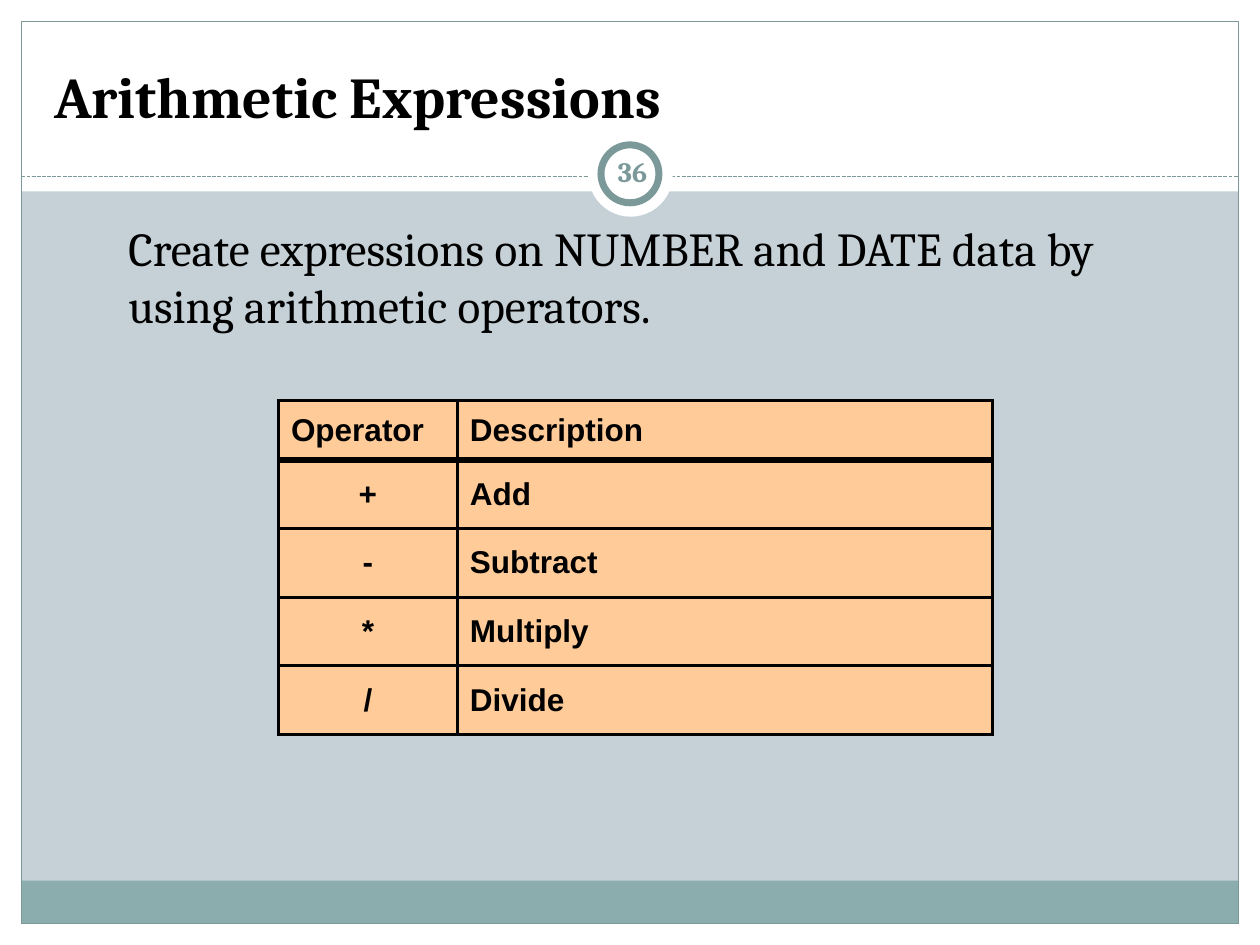
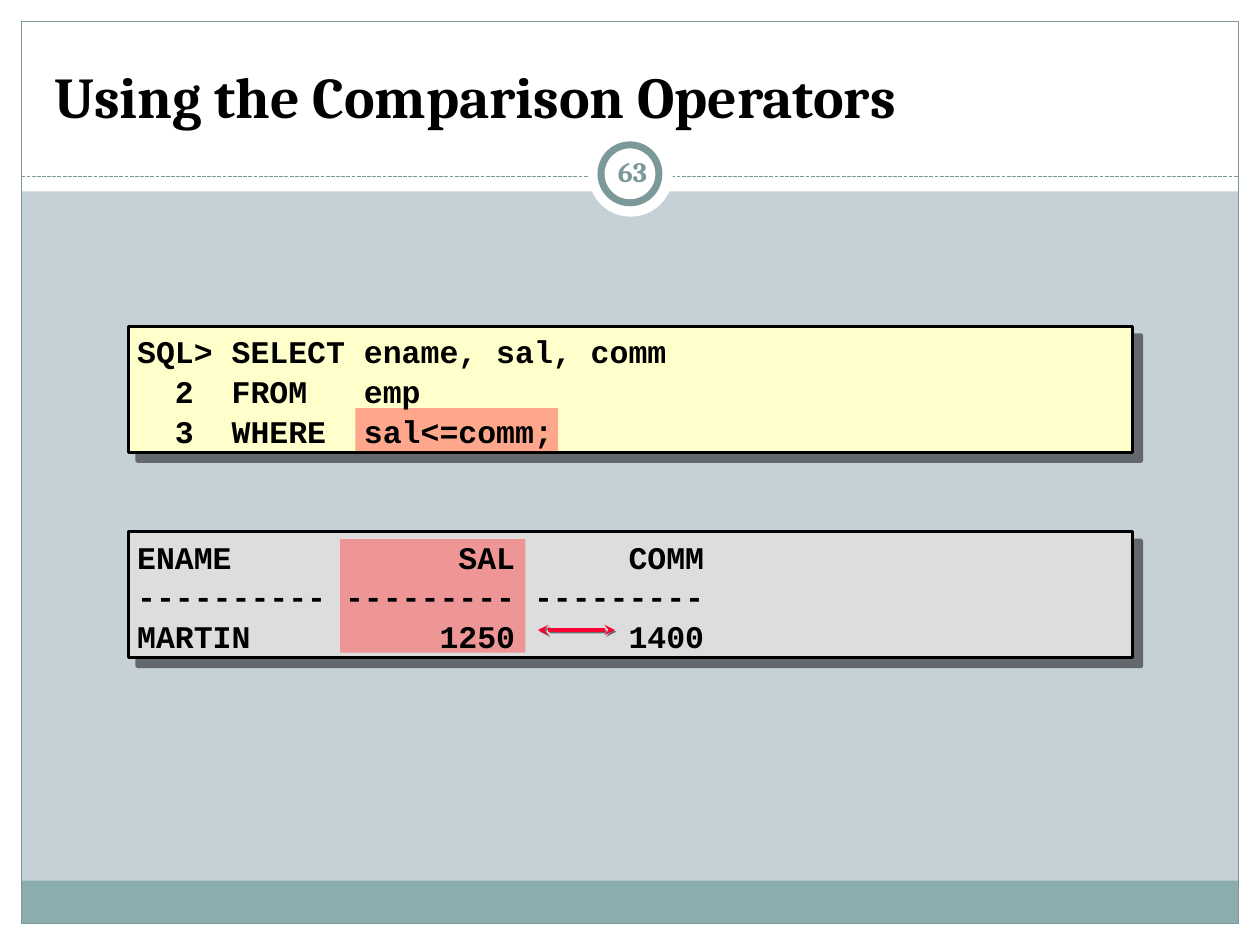
from dataclasses import dataclass

from lxml.etree import SubElement
from pptx import Presentation
from pptx.dml.color import RGBColor
from pptx.enum.dml import MSO_LINE
from pptx.enum.shapes import MSO_CONNECTOR, MSO_SHAPE
from pptx.enum.text import MSO_ANCHOR as Anchor, MSO_AUTO_SIZE, PP_ALIGN as Align
from pptx.oxml.ns import qn
from pptx.util import Emu, Inches, Pt

COLUMNS, ROWS = 100, 75
WIDTH, HEIGHT = Inches(10), Inches(7.5)

BLACK, WHITE = "000000", "FFFFFF"
PAPER, BAND, ACCENT = "C5D1D7", "8CADAE", "7C999A"
PEACH, CREAM, SILVER = "FFCC99", "FFFFCC", "DDDDDD"
HIGHLIGHT, RED = "FF5050", "FF0033"


@dataclass(frozen=True)
class Area:
    column: float
    row: float
    columns: float
    rows: float

    def box(self) -> tuple[Emu, Emu, Emu, Emu]:
        return across(self.column), down(self.row), across(self.columns), down(self.rows)


@dataclass(frozen=True)
class TextStyle:
    font: str
    size: float
    color: str = BLACK
    bold: bool = False
    align: Align = Align.LEFT
    spacing: float = 1.0


@dataclass(frozen=True)
class CodePanel:
    row: float
    fill: str
    lines: tuple[str, ...]
    highlight: Area


TITLE = TextStyle("Cambria", 33, bold=True)
BODY = TextStyle("Cambria", 27)
NUMBER = TextStyle("Cambria", 16, ACCENT, True, Align.CENTER)
CELL = TextStyle("Arial", 18, bold=True)
SYMBOL = TextStyle("Arial", 18, bold=True, align=Align.CENTER)
CODE = TextStyle("Courier New", 18, bold=True, spacing=1.05)

FRAME_BANDS = (
    (Area(0, 73.3, 100, 1.7), WHITE),
    (Area(0, 0, 100, 15.2), WHITE),
    (Area(0, 0, 1.7, 75), WHITE),
    (Area(98.3, 0, 1.7, 75), WHITE),
    (Area(1.7, 69.9, 96.6, 3.4), BAND),
)

OPERATORS = (
    ("Operator", "Description"),
    ("+", "Add"),
    ("-", "Subtract"),
    ("*", "Multiply"),
    ("/", "Divide"),
)
OPERATOR_COLUMNS = (14.2, 42.5)
HEADER_ROWS, OPERATOR_ROWS = 4.7, 5.45

PANELS = (
    CodePanel(
        25.9,
        CREAM,
        ("SQL> SELECT ename, sal, comm", "  2  FROM   emp", "  3  WHERE  sal<=comm;"),
        Area(28.2, 32.4, 16.1, 3.4),
    ),
    CodePanel(
        42.2,
        SILVER,
        (
            "ENAME            SAL      COMM",
            "---------- --------- ---------",
            "MARTIN          1250      1400",
        ),
        Area(27, 42.8, 14.7, 9),
    ),
)


def across(columns: float) -> Emu:
    return Emu(round(WIDTH * columns / COLUMNS))


def down(rows: float) -> Emu:
    return Emu(round(HEIGHT * rows / ROWS))


def rgb(color: str) -> RGBColor:
    return RGBColor.from_string(color)


def add_shadow(shape, distance: float) -> None:
    properties = shape.element.spPr
    for effects in properties.findall(qn("a:effectLst")):
        properties.remove(effects)
    effects = SubElement(properties, qn("a:effectLst"))
    if distance:
        shadow = SubElement(
            effects, qn("a:outerShdw"), blurRad="0", dist=str(Pt(distance)), dir="2700000"
        )
        color = SubElement(shadow, qn("a:srgbClr"), val=BLACK)
        SubElement(color, qn("a:alpha"), val="50000")


def add_block(slide, area: Area, fill: str = "", line: str = "", width: float = 1,
              kind=MSO_SHAPE.RECTANGLE):
    shape = slide.shapes.add_shape(kind, *area.box())
    shape.shadow.inherit = False
    if fill:
        shape.fill.solid()
        shape.fill.fore_color.rgb = rgb(fill)
    else:
        shape.fill.background()
    if line:
        shape.line.color.rgb = rgb(line)
        shape.line.width = Pt(width)
    else:
        shape.line.fill.background()
    return shape


def add_line(slide, start: float, end: float, row: float, color: str, width: float,
             shadow: float = 0):
    line = slide.shapes.add_connector(
        MSO_CONNECTOR.STRAIGHT, across(start), down(row), across(end), down(row)
    )
    line.line.color.rgb = rgb(color)
    line.line.width = Pt(width)
    add_shadow(line, shadow)
    return line


def write(frame, lines: tuple[str, ...], style: TextStyle) -> None:
    for index, text in enumerate(lines):
        paragraph = frame.add_paragraph() if index else frame.paragraphs[0]
        paragraph.text = text
        paragraph.alignment = style.align
        paragraph.line_spacing = style.spacing
        paragraph.font.name = style.font
        paragraph.font.size = Pt(style.size)
        paragraph.font.bold = style.bold
        paragraph.font.color.rgb = rgb(style.color)


def add_text(slide, area: Area, lines: tuple[str, ...], style: TextStyle,
             anchor: Anchor = Anchor.TOP):
    frame = slide.shapes.add_textbox(*area.box()).text_frame
    frame.word_wrap = True
    frame.vertical_anchor = anchor
    write(frame, lines, style)
    return frame


def build_frame(layout, slide) -> None:
    layout.background.fill.solid()
    layout.background.fill.fore_color.rgb = rgb(PAPER)
    for placeholder in list(layout.placeholders)[1:]:
        layout.shapes.element.remove(placeholder.element)
    parts = [add_block(slide, area, fill) for area, fill in FRAME_BANDS]
    parts.append(add_block(slide, Area(1.7, 1.7, 96.6, 71.6), line=ACCENT, width=0.75))
    divider = add_line(slide, 1.7, 98.3, 14, ACCENT, 0.75)
    divider.line.dash_style = MSO_LINE.SQUARE_DOT
    parts.append(divider)
    parts.append(add_block(slide, Area(46.7, 10.5, 6.7, 6.7), WHITE, kind=MSO_SHAPE.OVAL))
    parts.append(
        add_block(slide, Area(47.7, 11.5, 4.6, 4.6), WHITE, ACCENT, 4, MSO_SHAPE.OVAL)
    )
    for part in parts:
        layout.shapes.element.append(part.element)


def add_heading(slide, title: str, number: int) -> None:
    heading = slide.shapes.title
    heading.left, heading.top, heading.width, heading.height = Area(3.3, 2.5, 93.3, 8.3).box()
    heading.text_frame.auto_size = MSO_AUTO_SIZE.NONE
    heading.text_frame.vertical_anchor = Anchor.BOTTOM
    write(heading.text_frame, (title,), TITLE)
    badge = add_text(slide, Area(47.7, 11.2, 5, 4.8), (str(number),), NUMBER, Anchor.MIDDLE)
    badge.margin_left = badge.margin_right = across(0.5)


def set_borders(cell, widths: dict[str, float]) -> None:
    properties = cell._tc.get_or_add_tcPr()
    for side, width in widths.items():
        border = SubElement(properties, qn(f"a:ln{side}"), w=str(Pt(width)))
        SubElement(SubElement(border, qn("a:solidFill")), qn("a:srgbClr"), val=BLACK)


def add_operator_table(slide) -> None:
    heights = (HEADER_ROWS,) + (OPERATOR_ROWS,) * (len(OPERATORS) - 1)
    area = Area(22.1, 31.8, sum(OPERATOR_COLUMNS), sum(heights))
    table = slide.shapes.add_table(len(OPERATORS), len(OPERATOR_COLUMNS), *area.box()).table
    table.first_row = table.horz_banding = False
    for column, columns in zip(table.columns, OPERATOR_COLUMNS):
        column.width = across(columns)
    for row_index, (texts, rows) in enumerate(zip(OPERATORS, heights)):
        table.rows[row_index].height = down(rows)
        for column_index, text in enumerate(texts):
            cell = table.cell(row_index, column_index)
            top = 4 if row_index == 1 else 2
            bottom = 4 if row_index == 0 else 2
            set_borders(cell, {"L": 2, "R": 2, "T": top, "B": bottom})
            cell.fill.solid()
            cell.fill.fore_color.rgb = rgb(PEACH)
            cell.vertical_anchor = Anchor.MIDDLE
            is_symbol = row_index > 0 and column_index == 0
            write(cell.text_frame, (text,), SYMBOL if is_symbol else CELL)


def add_code_panel(slide, panel: CodePanel) -> None:
    block = add_block(slide, Area(10.2, panel.row, 79.7, 10), panel.fill, BLACK, 2)
    add_shadow(block, 7.1)
    highlight = add_block(slide, panel.highlight, HIGHLIGHT)
    for color in highlight.element.spPr.iter(qn("a:srgbClr")):
        SubElement(color, qn("a:alpha"), val="50000")
    add_text(slide, Area(9.9, panel.row - 0.1, 80, 10.3), panel.lines, CODE, Anchor.MIDDLE)


def add_comparison_arrow(slide) -> None:
    arrow = add_line(slide, 42.7, 48.8, 50, RED, 2, shadow=1.4)
    outline = arrow.element.spPr.find(qn("a:ln"))
    for end in ("headEnd", "tailEnd"):
        SubElement(outline, qn(f"a:{end}"), type="stealth")


def main() -> None:
    presentation = Presentation()
    presentation.slide_width, presentation.slide_height = WIDTH, HEIGHT
    layout = presentation.slide_layouts.get_by_name("Title Only")

    arithmetic = presentation.slides.add_slide(layout)
    build_frame(layout, arithmetic)
    add_heading(arithmetic, "Arithmetic Expressions", 36)
    sentence = "Create expressions on NUMBER and DATE data by using arithmetic operators."
    add_text(arithmetic, Area(9.2, 16.9, 86, 9.9), (sentence,), BODY)
    add_operator_table(arithmetic)

    comparison = presentation.slides.add_slide(layout)
    add_heading(comparison, "Using the Comparison Operators", 63)
    for panel in PANELS:
        add_code_panel(comparison, panel)
    add_comparison_arrow(comparison)

    presentation.save("out.pptx")


if __name__ == "__main__":
    main()
